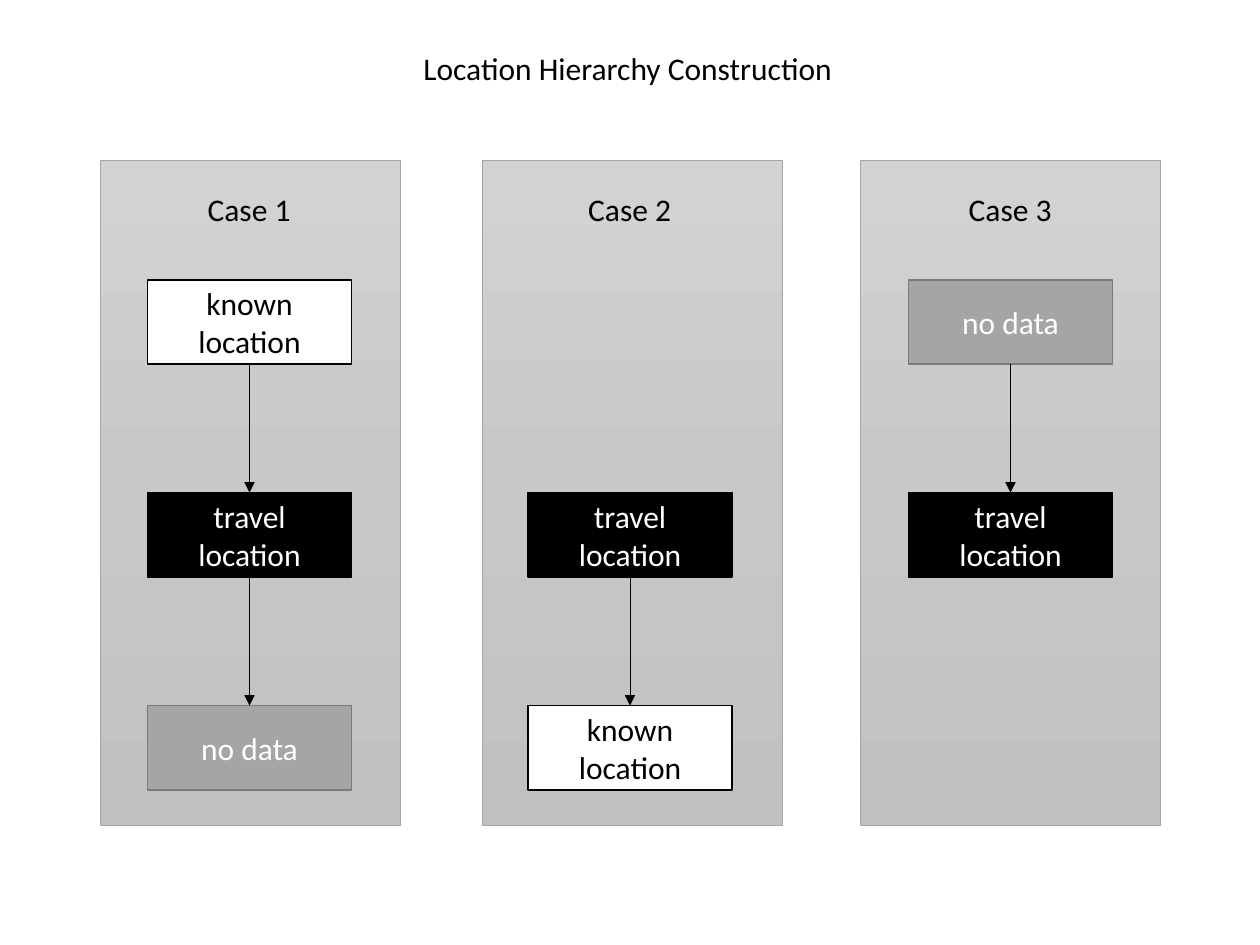
from copy import deepcopy
from dataclasses import dataclass

from lxml import etree
from pptx import Presentation
from pptx.dml.color import RGBColor
from pptx.enum import shapes, text
from pptx.oxml.ns import qn
from pptx.util import Inches, Pt


@dataclass(frozen=True)
class Theme:
    """Colours, font and sizes used on the slide."""
    font: str = "Calibri"
    size: int = 18
    black: str = "000000"
    white: str = "FFFFFF"
    gray: str = "A5A5A5"
    dark_gray: str = "7A7A7A"
    gradient: tuple = ("D2D2D2", "C8C8C8", "C0C0C0")
    thin_line: float = 0.5
    box_line: float = 1


theme = Theme()


def write_text(shape, wording, color, alignment, anchor, wrap):
    """Put one formatted paragraph into a shape."""
    frame = shape.text_frame
    frame.text = wording
    frame.word_wrap = wrap
    frame.vertical_anchor = anchor
    paragraph = frame.paragraphs[0]
    paragraph.alignment = alignment
    paragraph.font.name = theme.font
    paragraph.font.size = Pt(theme.size)
    paragraph.font.color.rgb = RGBColor.from_string(color)


def add_box(kind, left, top, width, height, line_color, line_width):
    """Add a shadowless outlined shape and return it."""
    shape = slide.shapes.add_shape(
        kind, Inches(left), Inches(top), Inches(width), Inches(height))
    shape.shadow.inherit = False
    shape.line.color.rgb = RGBColor.from_string(line_color)
    shape.line.width = Pt(line_width)
    return shape


presentation = Presentation()
presentation.slide_width, presentation.slide_height = Inches(10), Inches(7.5)
slide = presentation.slides.add_slide(presentation.slide_layouts[5])

title = slide.shapes.title
title.left, title.top = Inches(3.26), Inches(0.34)
title.width, title.height = Inches(3.49), Inches(0.4)
write_text(title, "Location Hierarchy Construction", theme.black,
           text.PP_ALIGN.LEFT, text.MSO_ANCHOR.TOP, False)
title.text_frame.auto_size = text.MSO_AUTO_SIZE.SHAPE_TO_FIT_TEXT

# Fill, outline and text colour of each kind of location
box_styles = {
    "known location": (theme.white, theme.black, theme.black),
    "travel location": (theme.black, theme.black, theme.white),
    "no data": (theme.gray, theme.dark_gray, theme.white),
}

# Panel left edge, first occupied row, and boxes from top to bottom
cases = [
    (0.80, 0, ["known location", "travel location", "no data"]),
    (3.83, 1, ["travel location", "known location"]),
    (6.83, 0, ["no data", "travel location"]),
]

box_width, box_height = 1.62, 0.67
first_box_left, column_step = 1.17, 3.02
first_box_top, row_step = 2.22, 1.69

for column, (panel_left, first_row, labels) in enumerate(cases):
    panel = add_box(shapes.MSO_SHAPE.RECTANGLE, panel_left, 1.27, 2.38, 5.28,
                    theme.gray, theme.thin_line)
    panel.fill.gradient()
    panel.fill.gradient_angle = 270
    first_stop = panel.fill.gradient_stops[0]
    stop_list = panel._element.spPr.find(".//" + qn("a:gsLst"))
    stop_list.insert(1, deepcopy(stop_list[0]))
    for index, stop in enumerate(panel.fill.gradient_stops):
        stop.position = index / 2
        stop.color.rgb = RGBColor.from_string(theme.gradient[index])

    heading = slide.shapes.add_textbox(
        Inches(1.55 + column * column_step), Inches(1.46), Inches(0.87), Inches(0.4))
    write_text(heading, f"Case {column + 1}", theme.black,
               text.PP_ALIGN.LEFT, text.MSO_ANCHOR.TOP, False)
    heading.text_frame.auto_size = text.MSO_AUTO_SIZE.SHAPE_TO_FIT_TEXT

    box_left = first_box_left + column * column_step
    previous_box = None
    for row, label in enumerate(labels, first_row):
        fill_color, line_color, text_color = box_styles[label]
        box = add_box(shapes.MSO_SHAPE.FLOWCHART_PROCESS, box_left,
                      first_box_top + row * row_step, box_width, box_height,
                      line_color, theme.box_line)
        box.fill.solid()
        box.fill.fore_color.rgb = RGBColor.from_string(fill_color)
        write_text(box, label, text_color,
                   text.PP_ALIGN.CENTER, text.MSO_ANCHOR.MIDDLE, True)
        if previous_box is not None:
            arrow = slide.shapes.add_connector(
                shapes.MSO_CONNECTOR.STRAIGHT, 0, 0, 0, 0)
            arrow.begin_connect(previous_box, 2)
            arrow.end_connect(box, 0)
            arrow.line.color.rgb = RGBColor.from_string(theme.black)
            arrow.line.width = Pt(theme.thin_line)
            etree.SubElement(arrow.line._get_or_add_ln(), qn("a:tailEnd"), type="triangle")
            etree.SubElement(arrow._element.spPr, qn("a:effectLst"))
        previous_box = box

presentation.save("out.pptx")
